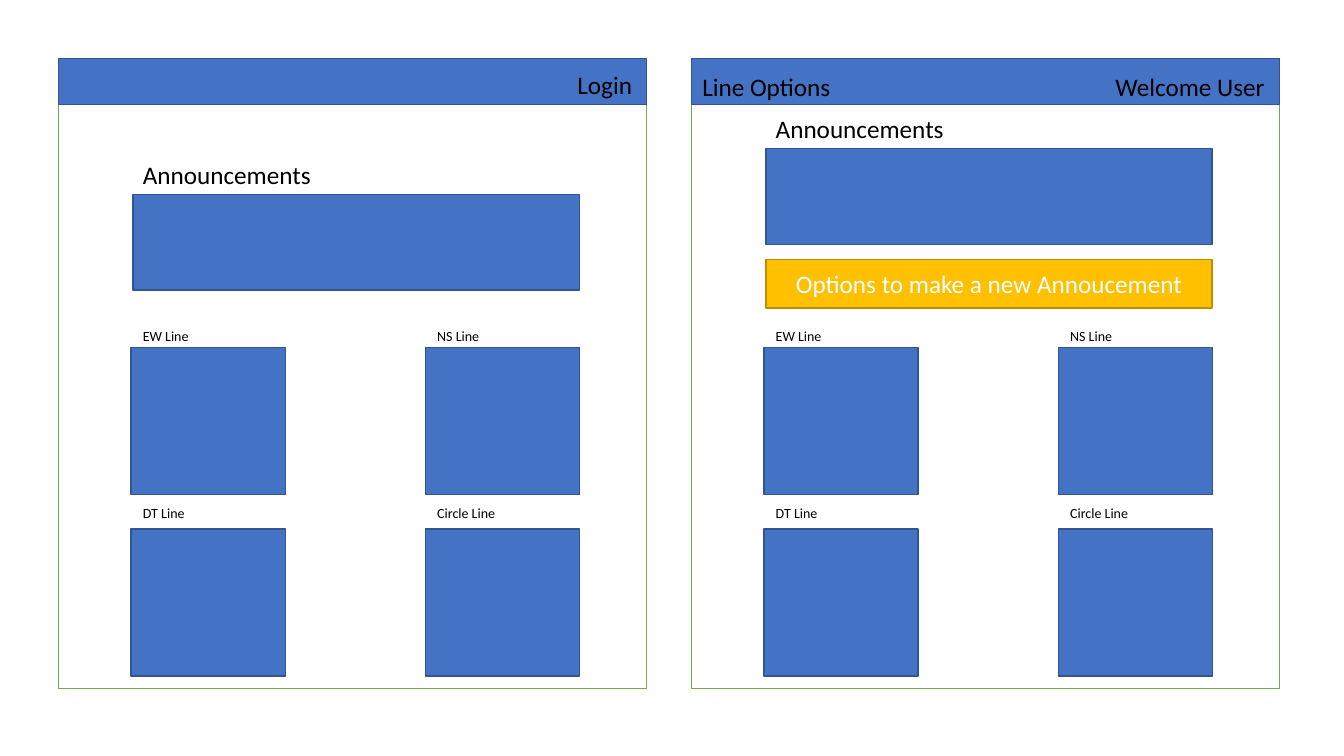
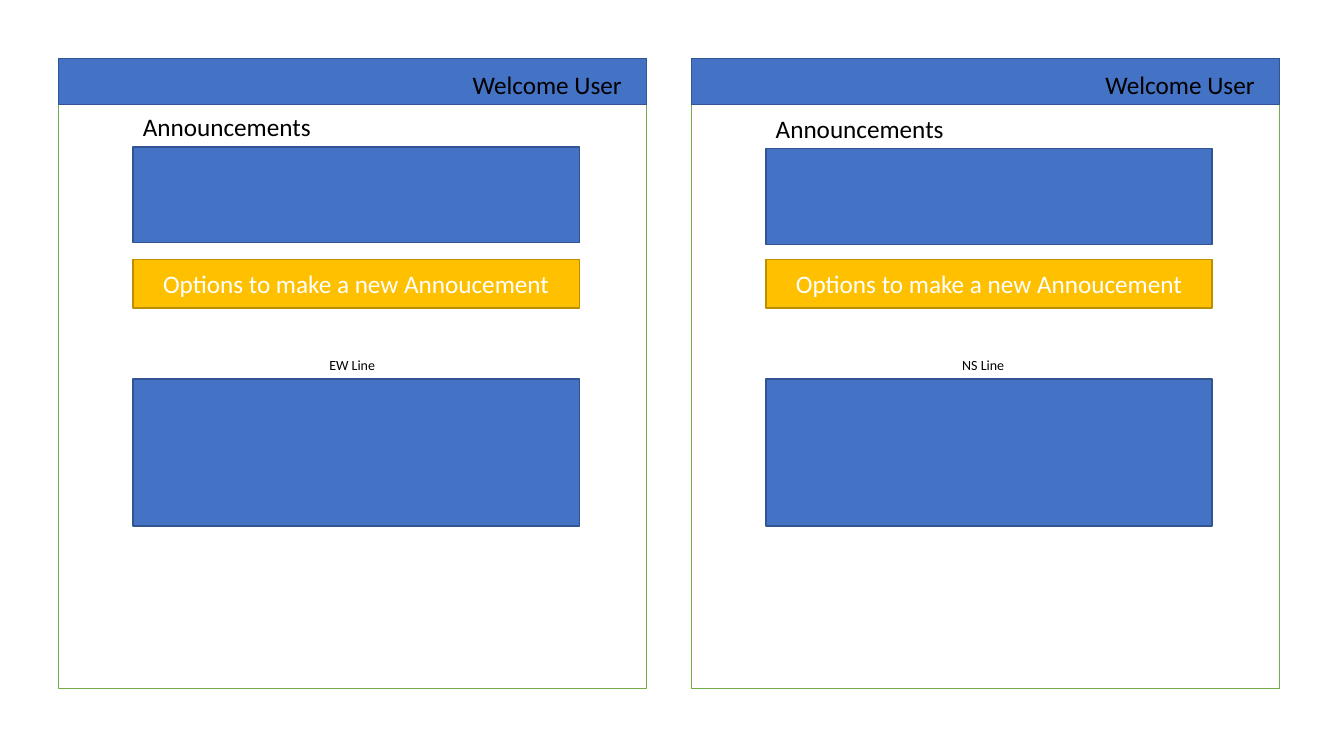
from dataclasses import dataclass

from pptx import Presentation
from pptx.dml.color import RGBColor
from pptx.enum.shapes import MSO_SHAPE
from pptx.enum.text import MSO_ANCHOR, MSO_AUTO_SIZE, PP_ALIGN
from pptx.util import Cm, Pt

RECTANGLE = MSO_SHAPE.RECTANGLE
MIDDLE = MSO_ANCHOR.MIDDLE
CENTER = PP_ALIGN.CENTER
GROW = MSO_AUTO_SIZE.SHAPE_TO_FIT_TEXT
BLANK_LAYOUT = 6


@dataclass(frozen=True)
class Theme:
    font: str = "Calibri"
    text: str = "000000"
    light_text: str = "FFFFFF"
    frame: tuple = ("FFFFFF", "70AD47")  # fill, line
    block: tuple = ("4472C4", "325491")
    button: tuple = ("FFC000", "BD8E00")
    line_width: float = 1
    label_size: int = 18
    caption_size: int = 10


THEME = Theme()

# Content: each slide holds two screens, left and right.
# A bar label is (text, offset from the screen's left, top, width) in cm.
ALL_LINES = [["EW Line", "NS Line"], ["DT Line", "Circle Line"]]
BUTTON_TEXT = "Options to make a new Annoucement"
SLIDES = [
    [
        {"bar": [("Login", 12.83, 1.63, 2.59)],
         "news_top": 4.9, "button": False, "lines": ALL_LINES},
        {"bar": [("Welcome User", 10.44, 1.68, 4.65), ("Line Options", 0.03, 1.68, 4.65)],
         "news_top": 3.75, "button": True, "lines": ALL_LINES},
    ],
    [
        {"bar": [("Welcome User", 10.19, 1.63, 5.26)],
         "news_top": 3.71, "button": True, "lines": [["EW Line"]]},
        {"bar": [("Welcome User", 10.19, 1.63, 4.65)],
         "news_top": 3.75, "button": True, "lines": [["NS Line"]]},
    ],
]

# Geometry in cm
SCREEN_LEFT, SCREEN_TOP, SCREEN_PITCH = 1.47, 1.47, 15.95
SCREEN_WIDTH, SCREEN_HEIGHT, BAR_HEIGHT = 14.83, 15.88, 1.17
INSET = 1.88
NEWS_WIDTH, NEWS_HEIGHT = 11.25, 2.41
HEADING_WIDTH, HEADING_HEIGHT = 5.13, 1.02
BUTTON_TOP, BUTTON_HEIGHT = 6.54, 1.22
TILE_TOP, TILE_WIDTH, TILE_HEIGHT = 8.75, 3.89, 3.71
TILE_PITCH_X, TILE_PITCH_Y = 7.42, 4.58
CAPTION_TOP, CAPTION_PITCH_Y = 8.13, 4.45
CAPTION_WIDTH, CAPTION_HEIGHT = 3.07, 0.71
WIDE_TOP, WIDE_CAPTION_TOP, WIDE_CAPTION_OFFSET = 9.55, 8.85, 4.7


def write(frame, text, size, color):
    para = frame.paragraphs[0]
    span = para.add_run()
    span.text = text
    span.font.name = THEME.font
    span.font.size = Pt(size)
    span.font.color.rgb = RGBColor.from_string(color)
    return para


def add_rectangle(page, left, top, width, height, style):
    fill, line = style
    box = page.shapes.add_shape(RECTANGLE, Cm(left), Cm(top), Cm(width), Cm(height))
    box.shadow.inherit = False
    box.fill.solid()
    box.fill.fore_color.rgb = RGBColor.from_string(fill)
    box.line.color.rgb = RGBColor.from_string(line)
    box.line.width = Pt(THEME.line_width)
    return box


def add_label(page, text, left, top, width, height, size):
    box = page.shapes.add_textbox(Cm(left), Cm(top), Cm(width), Cm(height))
    box.text_frame.word_wrap = True
    box.text_frame.auto_size = GROW
    write(box.text_frame, text, size, THEME.text)


def add_caption(page, text, left, top):
    add_label(page, text, left, top, CAPTION_WIDTH, CAPTION_HEIGHT, THEME.caption_size)


def add_button(page, left):
    box = add_rectangle(page, left, BUTTON_TOP, NEWS_WIDTH, BUTTON_HEIGHT, THEME.button)
    box.text_frame.word_wrap = True
    box.text_frame.vertical_anchor = MIDDLE
    write(box.text_frame, BUTTON_TEXT, THEME.label_size, THEME.light_text).alignment = CENTER


def add_lines(page, left, lines):
    """Draw one wide block for a single line, or a grid of tiles for several."""
    if lines[0][1:]:
        for row, names in enumerate(lines):
            for column, name in enumerate(names):
                x = left + column * TILE_PITCH_X
                add_rectangle(page, x - 0.05, TILE_TOP + row * TILE_PITCH_Y,
                              TILE_WIDTH, TILE_HEIGHT, THEME.block)
                add_caption(page, name, x, CAPTION_TOP + row * CAPTION_PITCH_Y)
    else:
        add_rectangle(page, left, WIDE_TOP, NEWS_WIDTH, TILE_HEIGHT, THEME.block)
        add_caption(page, lines[0][0], left + WIDE_CAPTION_OFFSET, WIDE_CAPTION_TOP)


def add_screen(page, left, screen):
    add_rectangle(page, left, SCREEN_TOP, SCREEN_WIDTH, SCREEN_HEIGHT, THEME.frame)
    add_rectangle(page, left, SCREEN_TOP, SCREEN_WIDTH, BAR_HEIGHT, THEME.block)
    for text, offset, top, width in screen["bar"]:
        add_label(page, text, left + offset, top, width, HEADING_HEIGHT, THEME.label_size)

    inner_left, news_top = left + INSET, screen["news_top"]
    add_lines(page, inner_left, screen["lines"])
    add_rectangle(page, inner_left, news_top, NEWS_WIDTH, NEWS_HEIGHT, THEME.block)
    add_label(page, "Announcements", inner_left, news_top - HEADING_HEIGHT,
              HEADING_WIDTH, HEADING_HEIGHT, THEME.label_size)
    if screen["button"]:
        add_button(page, inner_left)


def main():
    deck = Presentation()
    deck.slide_width, deck.slide_height = Cm(33.87), Cm(19.05)
    for screens in SLIDES:
        page = deck.slides.add_slide(deck.slide_layouts[BLANK_LAYOUT])
        for index, screen in enumerate(screens):
            add_screen(page, SCREEN_LEFT + index * SCREEN_PITCH, screen)
    deck.save("out.pptx")


if __name__ == "__main__":
    main()
